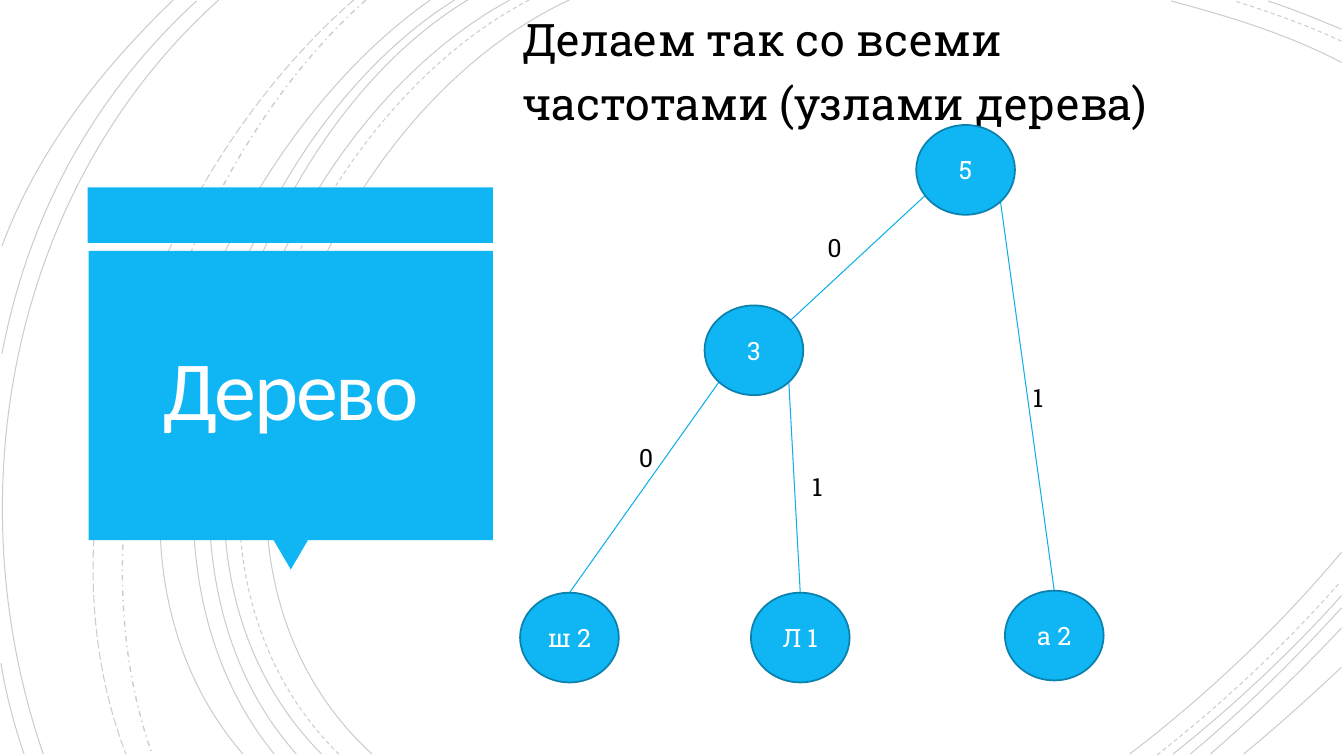
from math import cos, radians, sin

from lxml.etree import SubElement
from pptx import Presentation
from pptx.dml.color import RGBColor
from pptx.enum.dml import MSO_LINE
from pptx.enum.shapes import MSO_CONNECTOR, MSO_SHAPE
from pptx.enum.text import MSO_ANCHOR, MSO_AUTO_SIZE, PP_ALIGN
from pptx.oxml.ns import qn
from pptx.util import Cm, Pt

TITLE = "Дерево"
LEAD = "Делаем так со всеми частотами (узлами дерева)"
SLAB = "Roboto Slab"
HEX = {"blue": "10B6F4", "rim": "0B81AD", "edge": "0FAEE9",
       "ink": "000000", "white": "FFFFFF", "head": "FFFEFF"}

# All places below are in inches; cm() turns them into lengths.
# Tree nodes: name -> (text, left, top)
NODES = {
    "sh": ("ш 2", 5.16, 5.88),
    "l": ("Л 1", 7.45, 5.88),
    "a": ("а 2", 9.97, 5.86),
    "mid": ("3", 6.99, 3.03),
    "root": ("5", 9.09, 1.24),
}
NODE_W, NODE_H = 0.98, 0.89

# Edges: upper node, angle on its rim, lower node, angle (clockwise from right)
EDGES = [
    ("sh", -90, "mid", 135),
    ("mid", 45, "l", -90),
    ("root", 45, "a", -90),
    ("mid", -42, "root", 145),
]
# Edge bits: text, left, top
BITS = [("0", 8.11, 2.26), ("1", 10.15, 3.74), ("0", 6.24, 4.34), ("1", 7.96, 4.63)]

# Background arcs: start, two control points, end
SOLID = [
    ((5.65, 0), (3.15, 1.15), (1.43, 5.4), (3.69, 7.48)),
    ((13.31, 0.62), (12.78, 0.34), (12.18, 0.16), (11.62, 0.01)),
    ((11.21, 7.48), (11.97, 6.9), (12.69, 6.22), (13.31, 5.48)),
    ((5.06, 0), (2.7, 1.27), (1.1, 5.37), (3.19, 7.48)),
    ((13.31, 0.29), (13.07, 0.19), (12.83, 0.09), (12.58, 0.01)),
    ((11.64, 7.48), (12.23, 7.01), (12.8, 6.48), (13.31, 5.91)),
    ((4.64, 0), (2.44, 1.33), (1.1, 5.41), (2.94, 7.48)),
    ((11.81, 7.48), (12.34, 7.04), (12.84, 6.55), (13.31, 6.03)),
    ((4.51, 0), (2.31, 1.38), (0.97, 5.33), (2.72, 7.48)),
    ((12.01, 7.48), (12.46, 7.09), (12.9, 6.67), (13.31, 6.23)),
    ((4.27, 0), (2.17, 1.47), (0.53, 5.29), (2.41, 7.48)),
    ((12.34, 7.48), (12.67, 7.21), (12.99, 6.92), (13.31, 6.62)),
    ((2.17, 0), (0.11, 1.85), (-0.46, 4.9), (0.43, 7.48)),
    ((1.95, 0.01), (0.92, 0.96), (0.28, 2.14), (0.02, 3.51)),
    ((0.01, 6.58), (0.06, 6.89), (0.14, 7.19), (0.24, 7.48)),
    ((1.72, 0), (1, 0.69), (0.37, 1.5), (0.02, 2.44)),
]
DASH = [
    ((5.25, 0), (2.85, 1.25), (1.23, 5.37), (3.36, 7.48)),
    ((13.31, 0.41), (12.97, 0.25), (12.6, 0.12), (12.25, 0.01)),
    ((11.48, 7.49), (12.13, 6.98), (12.75, 6.4), (13.3, 5.77)),
]
DOT = [((3.63, 0), (1.76, 1.66), (0.65, 5.09), (1.51, 7.48))]
LONG = [((3.51, 0), (1.57, 1.69), (0.29, 4.99), (1.25, 7.48))]
# Arc groups: arcs, dash style, line width
ARCS = [(SOLID, None, 0.75), (DASH, MSO_LINE.DASH, 0.75),
        (DOT, MSO_LINE.DASH_DOT, 1), (LONG, MSO_LINE.LONG_DASH, 0.75)]

# Title panel: shape, left, top, width, height, turn
PANEL = [
    (MSO_SHAPE.RECTANGLE, 0.87, 1.86, 4.02, 0.55, 0),
    (MSO_SHAPE.ISOSCELES_TRIANGLE, 2.71, 5.35, 0.35, 0.3, 180),
    (MSO_SHAPE.RECTANGLE, 0.88, 2.49, 4.01, 2.87, 0),
]


def cm(num):
    return Cm(num * 2.54)


def tint(name):
    return RGBColor.from_string(HEX[name])


def write(shape, text, size=18, font=SLAB, color="ink", align=PP_ALIGN.LEFT,
          anchor=MSO_ANCHOR.TOP, wrap=True, space=None, before=0, inset=None):
    frame = shape.text_frame
    frame.auto_size = MSO_AUTO_SIZE.NONE
    frame.word_wrap = wrap
    frame.vertical_anchor = anchor
    if inset is not None:
        frame.margin_left = frame.margin_right = cm(inset)
        frame.margin_top = frame.margin_bottom = cm(inset)
    para = frame.paragraphs[0]
    para.alignment = align
    para.line_spacing = space
    para.space_before = Pt(before)
    run = para.add_run()
    run.text = text
    run.font.size = Pt(size)
    run.font.name = font
    run.font.color.rgb = tint(color)
    return para


def place(shape, left, top, width, height):
    shape.left, shape.top = cm(left), cm(top)
    shape.width, shape.height = cm(width), cm(height)


def block(home, kind, left, top, width, height, rim=None):
    shape = home.add_shape(kind, cm(left), cm(top), cm(width), cm(height))
    shape.shadow.inherit = False
    shape.fill.solid()
    shape.fill.fore_color.rgb = tint("blue")
    if rim:
        shape.line.color.rgb = tint(rim)
        shape.line.width = Pt(1.25)
    else:
        shape.line.fill.background()
    return shape


def curve(home, ends, dash, width):
    """Draw one cubic Bezier arc inside the box of its end points."""
    (x1, y1), *_, (x2, y2) = ends
    left, top = min(x1, x2), min(y1, y2)
    pen = home.build_freeform(cm(x1), cm(y1))
    pen.add_line_segments([(cm(x2), cm(y2))], close=False)
    arc = pen.convert_to_shape()
    bend = arc._element.find(".//" + qn("a:lnTo"))
    bend.tag = qn("a:cubicBezTo")
    bend.clear()
    for x, y in ends[1:]:
        SubElement(bend, qn("a:pt"), x=str(cm(x - left)), y=str(cm(y - top)))
    arc.shadow.inherit = False
    arc.fill.background()
    arc.line.color.rgb = tint("ink")
    arc.line.width = Pt(width)
    if dash:
        arc.line.dash_style = dash
    shade = arc.line._ln.find(".//" + qn("a:srgbClr"))
    SubElement(shade, qn("a:alpha"), val="20000")


def rim(name, turn):
    """Point on the rim of a node."""
    _, left, top = NODES[name]
    return (cm(left + NODE_W / 2 * (1 + cos(radians(turn)))),
            cm(top + NODE_H / 2 * (1 + sin(radians(turn)))))


deck = Presentation()
deck.slide_width, deck.slide_height = Cm(33.87), Cm(19.05)
layout = deck.slide_layouts[1]
slide = deck.slides.add_slide(layout)
shapes = slide.shapes

rings, panel = shapes.add_group_shape(), shapes.add_group_shape()
for arcs, dash, width in ARCS:
    for ends in arcs:
        curve(rings.shapes, ends, dash, width)
for *spot, turn in PANEL:
    block(panel.shapes, *spot).rotation = turn

# The decoration belongs to the layout, behind the slide's own content.
for group in (rings, panel):
    layout.shapes._spTree.append(group._element)
    for tag in group._element.iter(qn("p:cNvPr")):
        tag.set("id", str(int(tag.get("id")) + 100))

title, body = shapes.title, slide.placeholders[1]
place(title, 0.97, 2.57, 3.83, 2.69)
para = write(title, TITLE, size=60, font="Calibri", color="head", space=0.85,
             align=PP_ALIGN.CENTER, anchor=MSO_ANCHOR.MIDDLE, inset=0.25)
para.runs[0].font._element.set("spc", "-150")

place(body, 5.08, 0, 6.87, 1.29)
para = write(body, LEAD, size=32, anchor=MSO_ANCHOR.MIDDLE, space=1.2, before=10)
props = para._p.get_or_add_pPr()
props.set("marL", "0")
props.set("indent", "0")
SubElement(props, qn("a:buNone"))

for first, exit, last, entry in EDGES:
    edge = shapes.add_connector(MSO_CONNECTOR.STRAIGHT, *rim(first, exit), *rim(last, entry))
    edge.line.color.rgb = tint("edge")
    edge.line.width = Pt(0.75)
    SubElement(edge._element.spPr, qn("a:effectLst"))

for text, left, top in BITS:
    write(shapes.add_textbox(cm(left), cm(top), cm(0.34), cm(0.4)), text, wrap=False)

for text, left, top in NODES.values():
    write(block(shapes, MSO_SHAPE.OVAL, left, top, NODE_W, NODE_H, rim="rim"), text,
          color="white", align=PP_ALIGN.CENTER, anchor=MSO_ANCHOR.MIDDLE)

deck.save("out.pptx")
